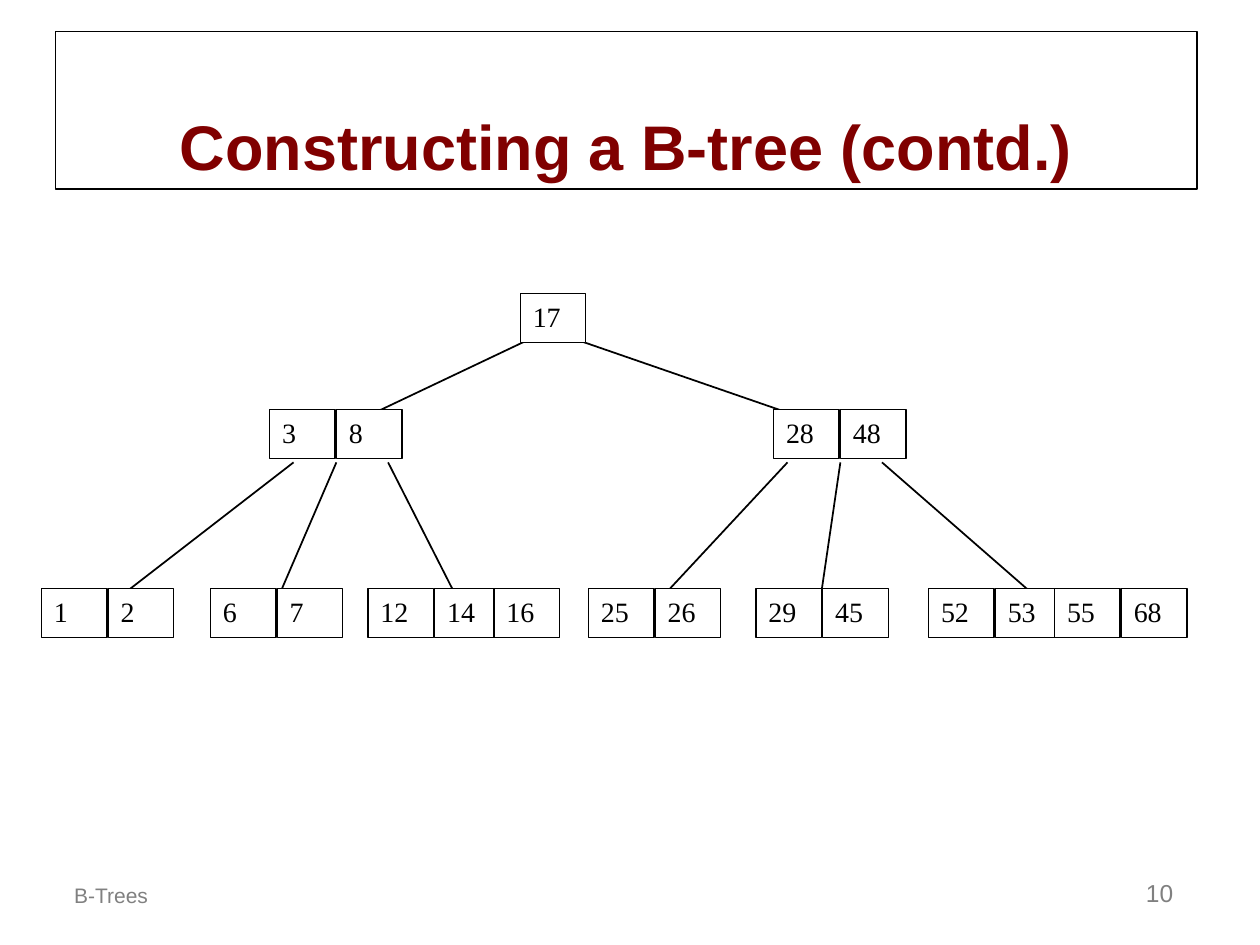
from pptx import Presentation
from pptx.dml.color import RGBColor
from pptx.enum.shapes import MSO_CONNECTOR, MSO_SHAPE
from pptx.enum.text import MSO_ANCHOR, PP_ALIGN
from pptx.oxml.ns import qn
from pptx.util import Inches, Pt
from lxml.etree import SubElement

BLACK = RGBColor(0, 0, 0)
WHITE = RGBColor(255, 255, 255)
GRAY = RGBColor(128, 128, 128)
MAROON = RGBColor(128, 0, 0)

KEY_OFFSETS = (0, 0.53, 1, 1.53)
ROOT_TOP, MIDDLE_TOP, LEAF_TOP = 2.33, 3.25, 4.67

# Each node: left, top, keys
NODES = [
    (4.13, ROOT_TOP, (17,)),
    (2.14, MIDDLE_TOP, (3, 8)),
    (6.14, MIDDLE_TOP, (28, 48)),
    (0.33, LEAF_TOP, (1, 2)),
    (1.67, LEAF_TOP, (6, 7)),
    (2.92, LEAF_TOP, (12, 14, 16)),
    (4.67, LEAF_TOP, (25, 26)),
    (6, LEAF_TOP, (29, 45)),
    (7.37, LEAF_TOP, (52, 53, 55, 68)),
]

# Each level of branches: start y, end y, pairs of start x and end x
BRANCHES = [
    (3.67, 4.83, [(2.33, 0.83), (2.67, 2.17), (3.08, 3.67),
                  (6.25, 5.17), (6.67, 6.5), (7, 8.33)]),
    (2.67, 3.42, [(4.25, 2.67), (4.5, 6.67)]),
]


class TreeSlide:
    """Holds the style and the current slide."""

    heading_font = "Arial"
    key_font = "Times New Roman"
    border = Pt(0.75)
    branch = Pt(1)

    def __init__(self, page):
        """Keep the slide to draw on."""
        self.page = page

    def set_text(self, shape, text, size, font, color, align, anchor, bold=False):
        """Put one styled paragraph into a shape."""
        frame = shape.text_frame
        frame.word_wrap = True
        frame.vertical_anchor = anchor
        frame.text = text
        para = frame.paragraphs[0]
        para.alignment = align
        para.font.size = Pt(size)
        para.font.name = font
        para.font.color.rgb = color
        para.font.bold = bold

    def rectangle(self, left, top, width, height):
        """Add an outlined rectangle without fill."""
        box = self.page.shapes.add_shape(
            MSO_SHAPE.RECTANGLE, Inches(left), Inches(top), Inches(width), Inches(height))
        box.shadow.inherit = False
        box.fill.background()
        box.line.color.rgb = BLACK
        box.line.width = self.border
        return box

    def title(self, text):
        """Add the framed title."""
        box = self.rectangle(0.44, 0.25, 9.06, 1.25)
        self.set_text(box, text, 36, self.heading_font, MAROON,
                      PP_ALIGN.CENTER, MSO_ANCHOR.BOTTOM, bold=True)

    def footer(self, text, left, width, size, align):
        """Add a gray text at the foot of the slide."""
        box = self.page.shapes.add_textbox(
            Inches(left), Inches(6.75), Inches(width), Inches(0.5))
        self.set_text(box, text, size, self.heading_font, GRAY, align, MSO_ANCHOR.BOTTOM)

    def line(self, x1, y1, x2, y2):
        """Add a branch between two nodes."""
        connector = self.page.shapes.add_connector(
            MSO_CONNECTOR.STRAIGHT, Inches(x1), Inches(y1), Inches(x2), Inches(y2))
        connector.line.color.rgb = BLACK
        connector.line.width = self.branch
        SubElement(connector._element.spPr, qn("a:effectLst"))

    def node(self, left, top, keys):
        """Add a tree node as a row of key cells."""
        for offset, key in zip(KEY_OFFSETS, keys):
            cell = self.rectangle(left + offset, top, 0.52, 0.39)
            cell.fill.solid()
            cell.fill.fore_color.rgb = WHITE
            self.set_text(cell, str(key), 16, self.key_font, BLACK,
                          PP_ALIGN.LEFT, MSO_ANCHOR.TOP)


def main():
    """Build and save the deck."""
    deck = Presentation()
    deck.slide_width, deck.slide_height = Inches(10), Inches(7.5)
    slide = TreeSlide(deck.slides.add_slide(deck.slide_layouts[6]))
    slide.footer("B-Trees", 0.49, 3, 12, PP_ALIGN.LEFT)
    slide.footer("10", 7.33, 2.08, 14, PP_ALIGN.RIGHT)
    for start_y, end_y, pairs in BRANCHES:
        for start_x, end_x in pairs:
            slide.line(start_x, start_y, end_x, end_y)
    slide.title("Constructing a B-tree (contd.)")
    for left, top, keys in NODES:
        slide.node(left, top, keys)
    deck.save("out.pptx")


main()
